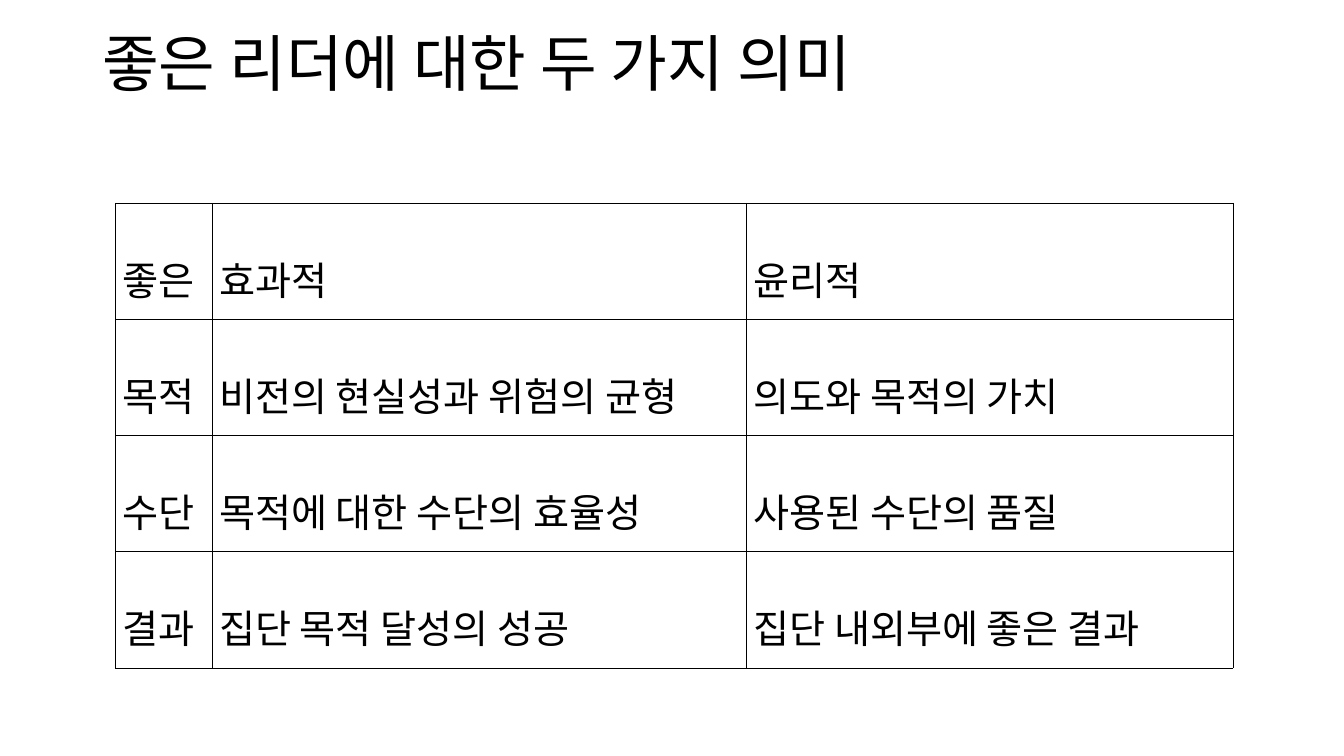
from dataclasses import dataclass

from lxml import etree
from pptx import Presentation
from pptx.dml.color import RGBColor
from pptx.enum.text import MSO_ANCHOR, PP_ALIGN
from pptx.oxml.ns import qn
from pptx.util import Pt

TOP, MIDDLE = MSO_ANCHOR.TOP, MSO_ANCHOR.MIDDLE
LEFT, JUSTIFY = PP_ALIGN.LEFT, PP_ALIGN.JUSTIFY


@dataclass(frozen=True)
class Theme:
    font: str = "Noto Sans CJK KR"
    ink: str = "000000"
    title_size: int = 44
    cell_size: int = 28
    border_width: float = 0.28


THEME = Theme()
TITLE = "좋은 리더에 대한 두 가지 의미"
MEANINGS = [
    ["좋은", "효과적", "윤리적"],
    ["목적", "비전의 현실성과 위험의 균형", "의도와 목적의 가치"],
    ["수단", "목적에 대한 수단의 효율성", "사용된 수단의 품질"],
    ["결과", "집단 목적 달성의 성공", "집단 내외부에 좋은 결과"],
]
COLUMN_WIDTHS = [69.1, 381.6, 347.8]


def write_line(frame, wording, size, align, spacing):
    paragraph = frame.paragraphs[0]
    paragraph.alignment = align
    paragraph.line_spacing = spacing
    run = paragraph.add_run()
    run.text = wording
    run.font.size = Pt(size)
    run.font.name = THEME.font
    run.font.color.rgb = RGBColor.from_string(THEME.ink)
    east_asian = etree.SubElement(run.font._element, qn("a:ea"))
    east_asian.set("typeface", THEME.font)


def draw_borders(cell):
    properties = cell._tc.get_or_add_tcPr()
    for position, side in enumerate(("a:lnL", "a:lnR", "a:lnT", "a:lnB")):
        line = etree.Element(qn(side), w=str(int(Pt(THEME.border_width))))
        fill = etree.SubElement(line, qn("a:solidFill"))
        etree.SubElement(fill, qn("a:srgbClr"), val=THEME.ink)
        properties.insert(position, line)


def add_title(slide, left, top, width, height):
    title = slide.shapes.add_textbox(Pt(left), Pt(top), Pt(width), Pt(height))
    frame = title.text_frame
    frame.word_wrap = True
    frame.vertical_anchor = TOP
    frame.margin_top = frame.margin_bottom = 0
    write_line(frame, TITLE, THEME.title_size, LEFT, 0.9)


def add_meanings_table(slide, left, top, height):
    """Add the comparison, one equal row per aspect of leadership."""
    table = slide.shapes.add_table(
        len(MEANINGS), len(COLUMN_WIDTHS),
        Pt(left), Pt(top), Pt(sum(COLUMN_WIDTHS)), Pt(height),
    ).table
    table.first_row = table.horz_banding = False
    for column, width in zip(table.columns, COLUMN_WIDTHS):
        column.width = Pt(width)
    for row, aspect in zip(table.rows, MEANINGS):
        row.height = Pt(height / len(MEANINGS))
        for cell, wording in zip(row.cells, aspect):
            cell.fill.background()
            cell.vertical_anchor = MIDDLE
            cell.margin_left = cell.margin_right = Pt(5)
            cell.margin_top = cell.margin_bottom = Pt(1.4)
            write_line(cell.text_frame, wording, THEME.cell_size, JUSTIFY, 1.6)
            draw_borders(cell)


def main():
    deck = Presentation()
    deck.slide_width, deck.slide_height = Pt(960), Pt(540)
    slide = deck.slides.add_slide(deck.slide_layouts[6])
    add_title(slide, 66, 24, 828, 104)
    add_meanings_table(slide, 82.4, 145, 332)
    deck.save("out.pptx")


if __name__ == "__main__":
    main()
